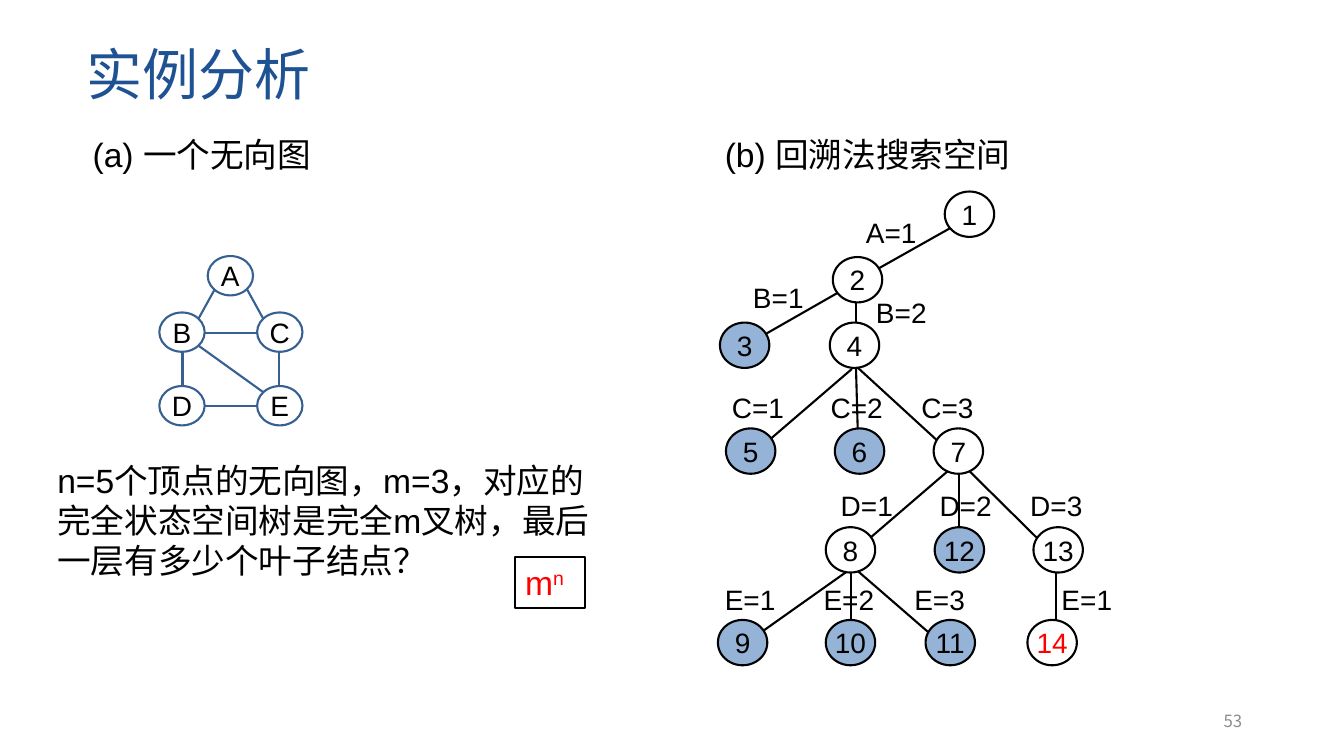
from typing import NamedTuple

from lxml.etree import SubElement
from pptx import Presentation
from pptx.dml.color import RGBColor
from pptx.enum.shapes import MSO_CONNECTOR, MSO_SHAPE
from pptx.enum.text import MSO_ANCHOR as ANCHOR, PP_ALIGN as ALIGN
from pptx.oxml.ns import qn
from pptx.util import Inches, Pt

BLACK, WHITE, RED = "000000", "FFFFFF", "FF0000"
NAVY, STEEL, PALE, GRAY = "1E5293", "376092", "95B3D7", "8C8C8C"
LATIN, CJK = "Arial", "Noto Sans CJK SC"


class Node(NamedTuple):
    text: str
    x: float
    y: float
    fill: str = WHITE
    color: str = BLACK


class Edge(NamedTuple):
    x1: float
    y1: float
    x2: float
    y2: float


class Label(NamedTuple):
    text: str
    x: float
    y: float


class Diagram(NamedTuple):
    nodes: list[Node]
    edges: list[Edge]
    node_w: float
    node_h: float
    line: str


ROW_1, ROW_2, ROW_3, ROW_4, ROW_5 = 1.9, 2.55, 3.2, 4.25, 5.23
ROW_6 = 6.15
TREE = Diagram(
    nodes=[
        Node("1", 9.37, ROW_1),
        Node("2", 8.26, ROW_2),
        Node("3", 7.14, ROW_3, PALE), Node("4", 8.23, ROW_3),
        Node("5", 7.2, ROW_4, PALE), Node("6", 8.28, ROW_4, PALE),
        Node("7", 9.26, ROW_4),
        Node("8", 8.19, ROW_5), Node("12", 9.27, ROW_5, PALE),
        Node("13", 10.25, ROW_5),
        Node("9", 7.12, ROW_6, PALE), Node("10", 8.19, ROW_6, PALE),
        Node("11", 9.18, ROW_6, PALE), Node("14", 10.19, ROW_6, color=RED),
    ],
    edges=[
        Edge(9.43, 2.26, 8.72, 2.66),
        Edge(8.3, 2.91, 7.6, 3.31), Edge(8.49, 2.99, 8.49, 3.19),
        Edge(8.45, 3.66, 7.45, 4.52), Edge(8.49, 3.65, 8.51, 4.36),
        Edge(8.51, 3.65, 9.47, 4.53),
        Edge(9.44, 4.64, 8.44, 5.5), Edge(9.51, 4.68, 9.51, 5.51),
        Edge(9.58, 4.64, 10.46, 5.51),
        Edge(8.4, 5.67, 7.37, 6.4), Edge(8.44, 5.59, 8.44, 6.43),
        Edge(8.49, 5.65, 9.39, 6.43),
        Edge(10.47, 5.65, 10.47, 6.17),
    ],
    node_w=0.49, node_h=0.45, line=BLACK)

GRAPH = Diagram(
    nodes=[
        Node("A", 2.06, 2.54),
        Node("B", 1.58, 3.1), Node("C", 2.55, 3.1),
        Node("D", 1.58, 3.83), Node("E", 2.55, 3.83),
    ],
    edges=[
        Edge(2.13, 2.87, 1.97, 3.16), Edge(2.45, 2.87, 2.61, 3.16),
        Edge(1.81, 3.49, 1.81, 3.83), Edge(2.77, 3.49, 2.77, 3.83),
        Edge(2.03, 3.3, 2.55, 3.3), Edge(2.03, 4.03, 2.55, 4.03),
        Edge(1.97, 3.43, 2.61, 3.89),
    ],
    node_w=0.45, node_h=0.39, line=STEEL)

# Three sibling branches share the same label offsets on every level.
SIBLING_OFFSETS = (0, 0.98, 1.88)
BRANCH_LABELS = [
    Label("A=1", 8.49, 2.09), Label("B=1", 7.37, 2.73),
    Label("B=2", 8.59, 2.88), Label("E=1", 10.43, 5.73),
] + [
    Label(f"{vertex}={i}", x + dx, y)
    for vertex, x, y in (("C", 7.16, 3.82), ("D", 8.24, 4.8), ("E", 7.09, 5.73))
    for i, dx in enumerate(SIBLING_OFFSETS, 1)
]


def rgb(value: str) -> RGBColor:
    return RGBColor.from_string(value)


def add_run(p, text: str, size: float, color: str = BLACK, font: str = LATIN):
    r = p.add_run()
    r.text = text
    r.font.size = Pt(size)
    r.font.name = font
    r.font.color.rgb = rgb(color)
    SubElement(r.font._element, qn("a:ea")).set("typeface", CJK)
    return r


def add_text(slide, text: str, x: float, y: float, w: float, h: float,
             size: float, color: str = BLACK, font: str = LATIN,
             anchor=ANCHOR.TOP, align=ALIGN.LEFT):
    sp = slide.shapes.add_textbox(Inches(x), Inches(y), Inches(w), Inches(h))
    tf = sp.text_frame
    tf.word_wrap = True
    tf.vertical_anchor = anchor
    p = tf.paragraphs[0]
    p.alignment = align
    add_run(p, text, size, color, font)
    return sp


def add_edge(slide, edge: Edge, color: str) -> None:
    line = slide.shapes.add_connector(
        MSO_CONNECTOR.STRAIGHT, *(Inches(v) for v in edge))
    line.line.color.rgb = rgb(color)
    line.line.width = Pt(1.5)
    SubElement(line._element.spPr, qn("a:effectLst"))


def add_node(slide, node: Node, w: float, h: float, line: str) -> None:
    sp = slide.shapes.add_shape(MSO_SHAPE.OVAL, Inches(node.x), Inches(node.y),
                                Inches(w), Inches(h))
    sp.shadow.inherit = False
    sp.fill.solid()
    sp.fill.fore_color.rgb = rgb(node.fill)
    sp.line.color.rgb = rgb(line)
    sp.line.width = Pt(1.5)
    tf = sp.text_frame
    tf.word_wrap = False
    tf.vertical_anchor = ANCHOR.MIDDLE
    p = tf.paragraphs[0]
    p.alignment = ALIGN.CENTER
    add_run(p, node.text, 20, node.color)


def draw_diagram(slide, diagram: Diagram) -> None:
    for edge in diagram.edges:
        add_edge(slide, edge, diagram.line)
    for node in diagram.nodes:
        add_node(slide, node, diagram.node_w, diagram.node_h, diagram.line)


def add_answer(slide) -> None:
    """Framed leaf count, m to the power n."""
    sp = add_text(slide, "m", 5.11, 5.53, 0.69, 0.5, 24, RED)
    sp.line.color.rgb = rgb(BLACK)
    sp.line.width = Pt(1.5)
    exponent = add_run(sp.text_frame.paragraphs[0], "n", 24, RED)
    exponent.font._element.set("baseline", "30000")


def main() -> None:
    prs = Presentation()
    prs.slide_width, prs.slide_height = Inches(13.33), Inches(7.5)
    slide = prs.slides.add_slide(prs.slide_layouts[6])

    title = add_text(slide, "实例分析", 0.76, 0.04, 11.5, 1.45, 40, NAVY,
                     anchor=ANCHOR.MIDDLE)
    title.text_frame.paragraphs[0].line_spacing = 0.9
    add_text(slide, "53", 9.42, 6.95, 3, 0.4, 12, GRAY, CJK,
             ANCHOR.MIDDLE, ALIGN.RIGHT)

    for label in BRANCH_LABELS:
        add_text(slide, label.text, label.x, label.y, 0.8, 0.44, 20)
    draw_diagram(slide, TREE)
    draw_diagram(slide, GRAPH)

    add_text(slide, "(a) 一个无向图", 0.82, 1.28, 3.45, 0.5, 24)
    add_text(slide, "(b) 回溯法搜索空间", 7.09, 1.28, 4.59, 0.5, 24)
    question = add_text(
        slide, "n=5个顶点的无向图，m=3，对应的完全状态空间树是完全m叉树，"
        "最后一层有多少个叶子结点？", 0.47, 4.51, 5.58, 1.31, 24)
    question.fill.solid()
    question.fill.fore_color.rgb = rgb(WHITE)
    add_answer(slide)
    prs.save("out.pptx")


if __name__ == "__main__":
    main()
